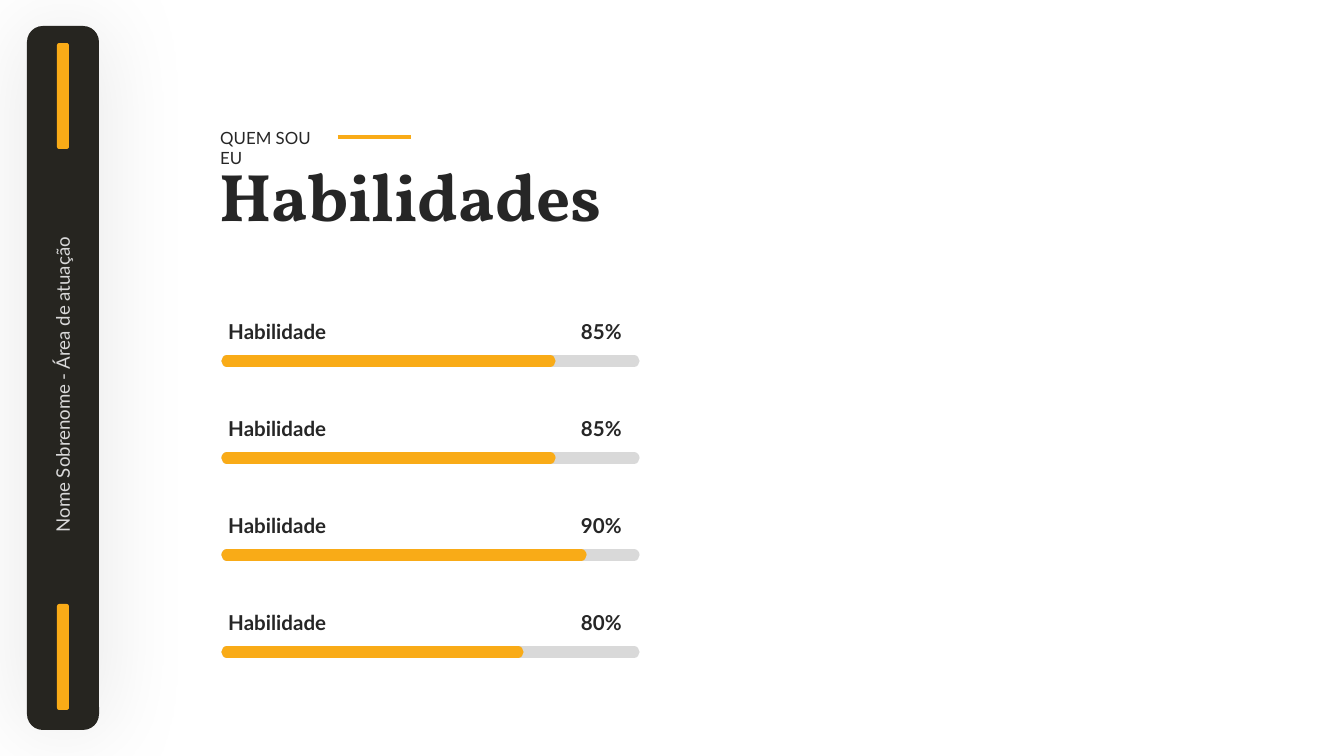
from lxml import etree
from pptx import Presentation
from pptx.dml.color import RGBColor
from pptx.enum.shapes import MSO_CONNECTOR, MSO_SHAPE
from pptx.enum.text import MSO_AUTO_SIZE, PP_ALIGN
from pptx.oxml import parse_xml
from pptx.oxml.ns import nsdecls, qn
from pptx.util import Emu, Pt

ROUND = MSO_SHAPE.ROUNDED_RECTANGLE
STRAIGHT = MSO_CONNECTOR.STRAIGHT
GROW = MSO_AUTO_SIZE.SHAPE_TO_FIT_TEXT
LEFT, RIGHT = PP_ALIGN.LEFT, PP_ALIGN.RIGHT

PX = 914400 / 134.4
COLORS = {"panel": "262520", "accent": "F9AB17", "track": "D9D9D9", "ink": "262626"}
HEX = {name: RGBColor.from_string(code) for name, code in COLORS.items()}

prs = Presentation()
prs.slide_width, prs.slide_height = Emu(round(1344 * PX)), Emu(round(756 * PX))
slide = prs.slides.add_slide(prs.slide_layouts[6])
shapes = slide.shapes


def add_text(text, box, size, color="ink", font="Lato", bold=False, align=LEFT, wrap=True):
    item = shapes.add_textbox(*[Emu(round(v * PX)) for v in box])
    frame = item.text_frame
    frame.text = text
    frame.word_wrap = wrap
    frame.auto_size = GROW
    para = frame.paragraphs[0]
    para.alignment = align
    style = para.runs[0].font
    style.name, style.size, style.bold = font, Pt(size), bold
    style.color.rgb = HEX[color]
    return item


def add_line(x1, x2, y, color, width, cap="flat"):
    line = shapes.add_connector(STRAIGHT, *[Emu(round(v * PX)) for v in (x1, y, x2, y)])
    line.line.color.rgb = HEX[color]
    line.line.width = Pt(width)
    props = line.element.spPr
    props.find(qn("a:ln")).set("cap", cap)
    etree.SubElement(props, qn("a:effectLst"))


# Side panel with its two accent bars
bars = [
    ((27, 26, 72, 704), 0.22, "panel"),
    ((57, 43, 12, 106), 0.19, "accent"),
    ((57, 604, 12, 106), 0.19, "accent"),
]
for box, radius, color in bars:
    bar = shapes.add_shape(ROUND, *[Emu(round(v * PX)) for v in box])
    bar.adjustments[0] = radius
    bar.fill.solid()
    bar.fill.fore_color.rgb = HEX[color]
    bar.line.fill.background()
    bar.shadow.inherit = False
    if color == "panel":
        glow = bar.element.spPr.find(qn("a:effectLst"))
        glow.append(parse_xml(
            f'<a:outerShdw {nsdecls("a")} blurRad="{Pt(50)}" dist="0" algn="ctr" rotWithShape="0">'
            '<a:srgbClr val="000000"><a:alpha val="10000"/></a:srgbClr></a:outerShdw>'))

name = add_text("Nome Sobrenome - Área de atuação", (-105, 360, 335, 36), 10, "track", wrap=False)
name.rotation = 270

# Heading
add_text("Habilidades", (206, 148, 442, 95), 36, font="Vollkorn", bold=True)
add_text("QUEM SOU EU", (207, 121, 137, 34), 9)
add_line(338, 411, 137, "accent", 2)

# Skill rows: share and where the filled part ends
skills = [("85%", 550), ("85%", 550), ("90%", 581), ("80%", 518)]
for row, (share, end) in enumerate(skills):
    top = 300 + 97 * row
    for text, left, align in (("Habilidade", 215, LEFT), (share, 401, RIGHT)):
        label = add_text(text, (left, top, 234, 48), 11, bold=True, align=align)
        label.text_frame.paragraphs[0].line_spacing = 1.5
    add_line(227, 634, top + 61, "track", 6, "rnd")
    add_line(227, end, top + 61, "accent", 6, "rnd")

prs.save("out.pptx")
